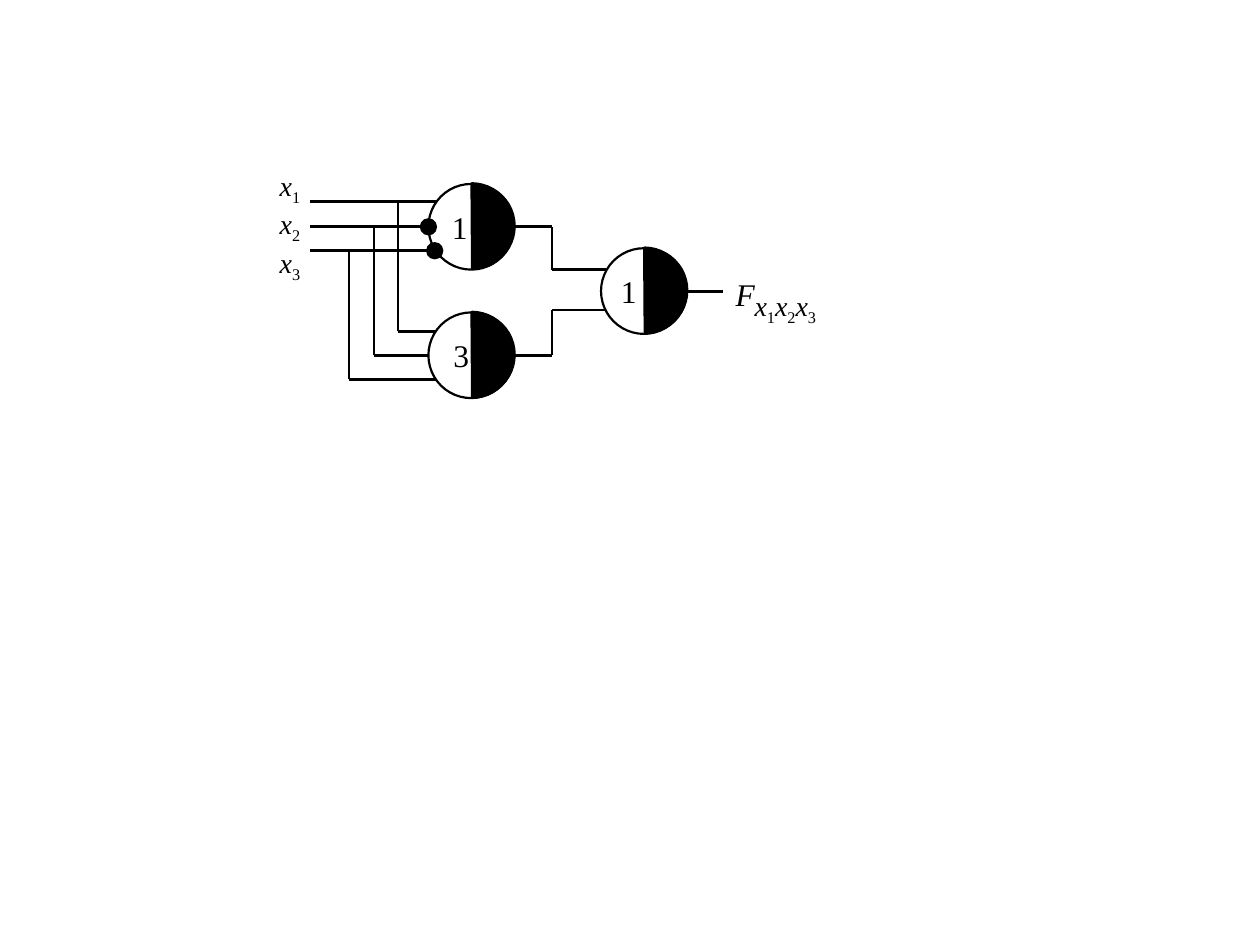
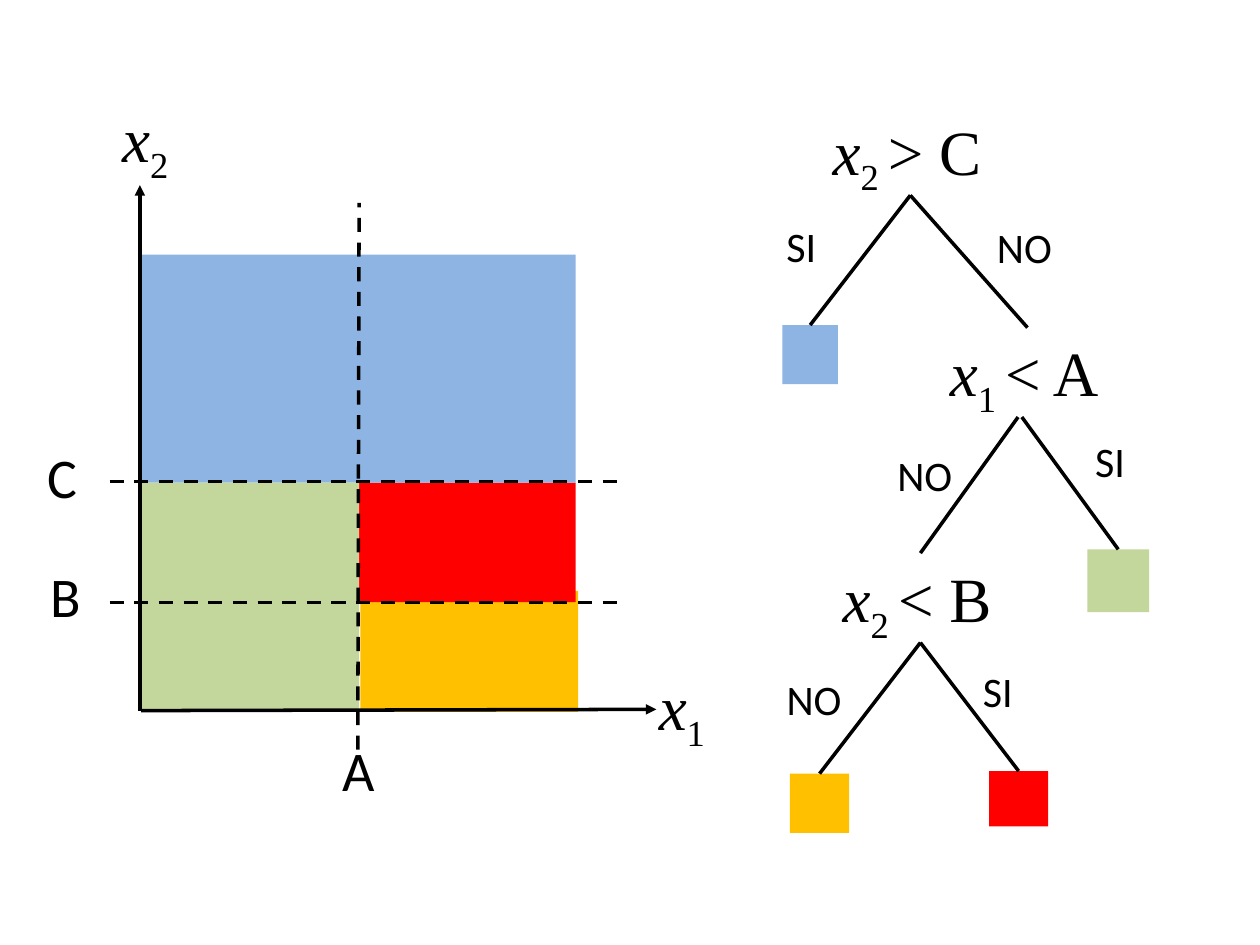
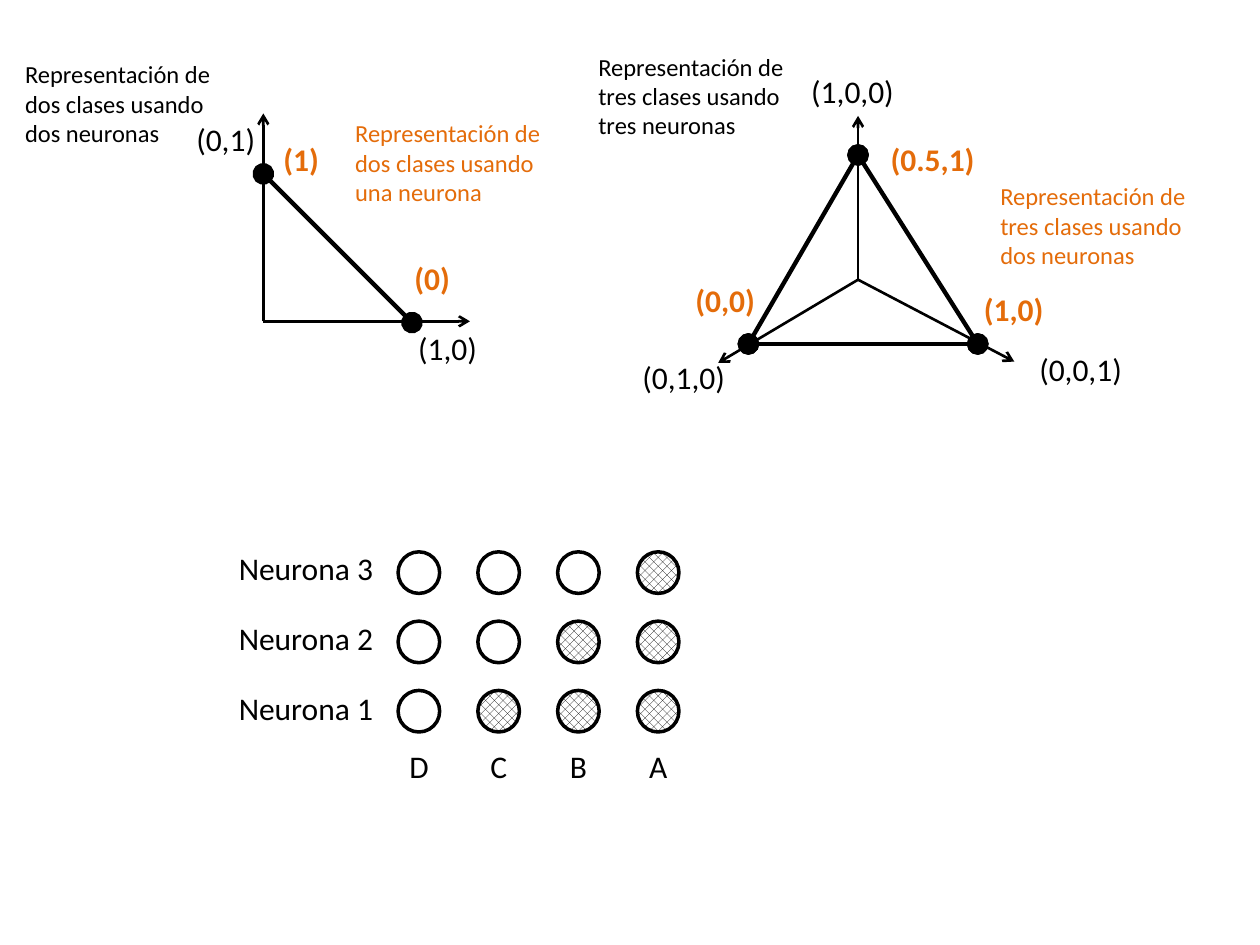
from dataclasses import dataclass
from itertools import product

from lxml.etree import SubElement
from pptx import Presentation
from pptx.dml.color import RGBColor
from pptx.enum.dml import MSO_LINE, MSO_PATTERN
from pptx.enum.shapes import MSO_CONNECTOR, MSO_SHAPE
from pptx.enum.text import MSO_ANCHOR, MSO_AUTO_SIZE, PP_ALIGN
from pptx.oxml.ns import qn
from pptx.util import Inches, Pt

COLUMNS, ROWS = 100, 75
TOP, BOTTOM = 0, 2
LEFT, CENTER, RIGHT = PP_ALIGN.LEFT, PP_ALIGN.CENTER, PP_ALIGN.RIGHT


@dataclass(frozen=True)
class Theme:
    ink: str = "000000"
    paper: str = "FFFFFF"
    accent: str = "E46C0A"
    blue: str = "8EB4E3"
    green: str = "C3D69B"
    red: str = "FF0000"
    yellow: str = "FFC000"
    sans: str = "Calibri"
    serif: str = "Times New Roman"
    note: int = 14
    variable: int = 16
    label: int = 18
    answer: int = 24
    threshold: int = 32
    question: int = 36
    outline: float = 1.25
    wire: float = 1.5
    rule: float = 2
    edge: float = 2.5


@dataclass(frozen=True)
class Span:
    text: str
    italic: bool = False
    lowered: bool = False


@dataclass(frozen=True)
class Site:
    shape: object
    side: int


def indexed(name, index):
    return [Span(name, italic=True), Span(index, lowered=True)]


class Deck:
    def __init__(self, theme):
        self.theme = theme
        self.file = Presentation()
        self.file.slide_width, self.file.slide_height = Inches(10), Inches(7.5)
        self.page = None

    def add_page(self):
        self.page = self.file.slides.add_slide(self.file.slide_layouts[6])

    def column(self, count):
        return round(self.file.slide_width * count / COLUMNS)

    def row(self, count):
        return round(self.file.slide_height * count / ROWS)

    def frame(self, left, top, width, height):
        return self.column(left), self.row(top), self.column(width), self.row(height)

    def shape(self, kind, at, fill=None, line=None, hatched=False):
        shape = self.page.shapes.add_shape(kind, *self.frame(*at))
        shape.shadow.inherit = False
        if hatched:
            shape.fill.patterned()
            shape.fill.pattern = MSO_PATTERN.PERCENT_50
            shape.fill.fore_color.rgb = RGBColor.from_string(self.theme.ink)
            shape.fill.back_color.rgb = RGBColor.from_string(self.theme.paper)
        elif fill:
            shape.fill.solid()
            shape.fill.fore_color.rgb = RGBColor.from_string(fill)
        else:
            shape.fill.background()
        if line:
            shape.line.color.rgb = RGBColor.from_string(self.theme.ink)
            shape.line.width = Pt(line)
        else:
            shape.line.fill.background()
        return shape

    def line(self, begin, end, width, head=None, tail=None, dashed=False):
        ends = [(0, 0) if isinstance(spot, Site) else spot for spot in (begin, end)]
        places = [size for x, y in ends for size in (self.column(x), self.row(y))]
        line = self.page.shapes.add_connector(MSO_CONNECTOR.STRAIGHT, *places)
        if isinstance(begin, Site):
            line.begin_connect(begin.shape, begin.side)
        if isinstance(end, Site):
            line.end_connect(end.shape, end.side)
        line.line.color.rgb = RGBColor.from_string(self.theme.ink)
        line.line.width = Pt(width)
        if dashed:
            line.line.dash_style = MSO_LINE.DASH
        properties = line._element.spPr
        stroke = properties.find(qn("a:ln"))
        for tag, kind in (("a:headEnd", head), ("a:tailEnd", tail)):
            if kind:
                size = "lg" if kind == "oval" else "med"
                SubElement(stroke, qn(tag), type=kind, w=size, len=size)
        SubElement(properties, qn("a:effectLst"))

    def text(self, at, paragraphs, size, color=None, font=None, align=LEFT,
             bold=False, wrap=False, middle=False):
        box = self.page.shapes.add_textbox(*self.frame(*at))
        frame = box.text_frame
        frame.word_wrap = wrap
        if middle:
            frame.vertical_anchor = MSO_ANCHOR.MIDDLE
        else:
            frame.auto_size = MSO_AUTO_SIZE.SHAPE_TO_FIT_TEXT
        for number, spans in enumerate(paragraphs):
            para = frame.add_paragraph() if number else frame.paragraphs[0]
            para.alignment = align
            for span in spans:
                run = para.add_run()
                run.text = span.text
                run.font.name = font or self.theme.sans
                run.font.size = Pt(size)
                run.font.bold = bold
                run.font.italic = span.italic
                run.font.color.rgb = RGBColor.from_string(color or self.theme.ink)
                if span.lowered:
                    run._r.get_or_add_rPr().set("baseline", "-25000")
        return box

    def label(self, at, words, size, **style):
        return self.text(at, [[Span(words)]], size, **style)

    def math(self, at, spans, size, **style):
        return self.text(at, [spans], size, font=self.theme.serif, **style)

    def gate(self, left, top, threshold, label_left):
        self.math((label_left, top, 3.4, 6.8), [Span(threshold)], self.theme.label,
                  align=CENTER, wrap=True, middle=True)
        half = self.shape(MSO_SHAPE.CHORD, (left, top, 6.8, 6.7), self.theme.ink,
                          self.theme.rule)
        half.adjustments[0], half.adjustments[1] = 162.78, 52.72
        self.shape(MSO_SHAPE.OVAL, (left, top, 6.8, 6.8), line=self.theme.outline)


def draw_circuit(deck):
    theme = deck.theme
    deck.add_page()
    deck.gate(34, 14.6, "1", 34.8)
    deck.gate(47.7, 19.7, "1", 48.2)
    deck.gate(34, 24.8, "3", 34.9)

    lanes = [(16, 34.7, 31.6, 26.3, 34.5, None),
             (18, 34, 29.7, 28.2, 34, "oval"),
             (19.9, 34.5, 27.7, 30.1, 34.6, "oval")]
    for upper, upper_end, branch, lower, lower_end, tail in lanes:
        deck.line((24.6, upper), (upper_end, upper), theme.wire, tail=tail)
        deck.line((branch, lower), (lower_end, lower), theme.wire)
        deck.line((branch, lower), (branch, upper), theme.wire)
    for output, entry in ((18, 21.4), (28.2, 24.6)):
        deck.line((40.8, output), (43.8, output), theme.wire)
        deck.line((43.8, output), (43.8, entry), theme.wire)
        deck.line((43.8, entry), (48.1, entry), theme.wire)
    deck.line((54.5, 23.15), (57.4, 23.15), theme.wire)

    variables = [indexed("x", index) for index in "123"]
    deck.text((20.9, 12.9, 3.9, 9.4), variables, theme.variable,
              font=theme.serif, align=RIGHT, wrap=True)
    deck.math((57.4, 21.3, 3.6, 4), [Span("F", italic=True)], theme.label)
    deck.math((58.9, 22.4, 7.9, 3.7), sum(variables, []), theme.variable, wrap=True)


def draw_decision_tree(deck):
    theme = deck.theme
    deck.add_page()
    for at, color in (((28.6, 46.9, 17.3, 9.6), theme.yellow),
                      ((28.4, 38.3, 17.3, 9.5), theme.red),
                      ((11.1, 20.2, 34.6, 18.1), theme.blue),
                      ((11.2, 38.3, 17.3, 18.1), theme.green)):
        deck.shape(MSO_SHAPE.RECTANGLE, at, color)
    deck.line((11.1, 56.4), (11.1, 14.7), theme.rule, tail="triangle")
    deck.line((11.2, 56.4), (52.1, 56.3), theme.rule, tail="triangle")
    deck.line((28.4, 59.5), (28.5, 16.1), theme.rule, dashed=True)
    for level in (38.2, 47.8):
        deck.line((8.7, level), (49.7, level), theme.rule, dashed=True)
    for left, top, index in ((8.7, 7.4, "2"), (51.3, 52.5, "1")):
        deck.math((left, top, 5.9, 7.1), indexed("x", index), theme.question)
    for left, top, name in ((26.2, 57.9, "A"), (3, 44.1, "B"), (2.8, 34.6, "C")):
        deck.label((left, top, 4.6, 6.4), name, theme.threshold)

    over_c, under_a, under_b = [
        deck.math((left, top, 14.3, 7.1), [*indexed("x", index + " "), Span(test)],
                  theme.question)
        for left, top, index, test in ((65.1, 8.4, "2", "> C"),
                                       (74.4, 26, "1", "< A"),
                                       (65.9, 43.9, "2", "< B"))]
    blue, green, yellow, red = [
        deck.shape(MSO_SHAPE.RECTANGLE, at, color)
        for at, color in (((62.1, 25.8, 4.4, 4.7), theme.blue),
                          ((86.3, 43.6, 4.9, 5), theme.green),
                          ((62.7, 61.4, 4.7, 4.7), theme.yellow),
                          ((78.5, 61.2, 4.7, 4.4), theme.red))]
    for begin, child in ((Site(over_c, BOTTOM), blue), (Site(over_c, BOTTOM), under_a),
                         ((80.8, 33.1), under_b), ((81.1, 33.1), green),
                         (Site(under_b, BOTTOM), yellow), (Site(under_b, BOTTOM), red)):
        deck.line(begin, Site(child, TOP), theme.rule)
    for left, top in ((61.4, 17), (85.9, 34.1), (77, 52.3)):
        deck.label((left, top, 4.4, 5), "SI", theme.answer, align=CENTER)
    for left, top in ((77.7, 17.1), (69.8, 35.2), (61, 53)):
        deck.label((left, top, 7.2, 5), "NO", theme.answer, align=CENTER, wrap=True)


def draw_class_codes(deck):
    theme = deck.theme
    deck.add_page()
    for origin, tips in (((20.9, 25.5), ((20.9, 9), (37.3, 25.5))),
                         ((68.1, 22.2), ((68.1, 9.2), (57, 28.8), (80.5, 28.7)))):
        for tip in tips:
            deck.line(origin, tip, theme.wire, tail="arrow")
    apex, left_corner, right_corner = (68.1, 12.3), (59.4, 27.3), (77.6, 27.3)
    for begin, end in (((20.9, 13.8), (32.7, 25.6)), (apex, left_corner),
                       (right_corner, left_corner), (right_corner, apex)):
        deck.line(begin, end, theme.edge, head="oval", tail="oval")

    for left, top, width, code in ((14.6, 9, 6.7, "(0,1)"), (32.2, 25.6, 6.7, "(1,0)"),
                                   (63.4, 5.2, 8.6, "(1,0,0)"),
                                   (50, 27.9, 8.6, "(0,1,0)"),
                                   (81.5, 27.3, 8.6, "(0,0,1)")):
        deck.label((left, top, width, 4), code, theme.label)
    for left, top, width, code in ((21.5, 10.6, 4.8, "(1)"), (31.9, 20.1, 4.8, "(0)"),
                                   (54.2, 21.8, 6.8, "(0,0)"),
                                   (77.1, 22.5, 6.8, "(1,0)"),
                                   (69.7, 10.6, 8.8, "(0.5,1)")):
        deck.label((left, top, width, 4), code, theme.label, color=theme.accent, bold=True)
    for left, top, classes, neurons, color in (
            (1, 4.2, "dos", "dos neuronas", theme.ink),
            (27.2, 8.9, "dos", "una neurona", theme.accent),
            (46.5, 3.6, "tres", "tres neuronas", theme.ink),
            (78.4, 13.9, "tres", "dos neuronas", theme.accent)):
        lines = ("Representación de", f"{classes} clases usando", neurons)
        deck.text((left, top, 16.9, 8.1), [[Span(words)] for words in lines],
                  theme.note, color=color)

    step = 6.33
    for neuron in (1, 2, 3):
        deck.label((17.8, 54.2 - 5.55 * (neuron - 1), 12.8, 4), f"Neurona {neuron}",
                   theme.label, align=RIGHT)
    for place, name in enumerate("DCBA"):
        deck.label((31.5 + step * place, 58.8, 3.5, 4), name, theme.label, align=CENTER)
    for neuron, place in product((1, 2, 3), range(4)):
        at = (31.6 + step * place, 54.8 - 5.5 * (neuron - 1), 3.3, 3.3)
        deck.shape(MSO_SHAPE.OVAL, at, line=theme.rule, hatched=neuron <= place)


def main():
    deck = Deck(Theme())
    draw_circuit(deck)
    draw_decision_tree(deck)
    draw_class_codes(deck)
    deck.file.save("out.pptx")


if __name__ == "__main__":
    main()
